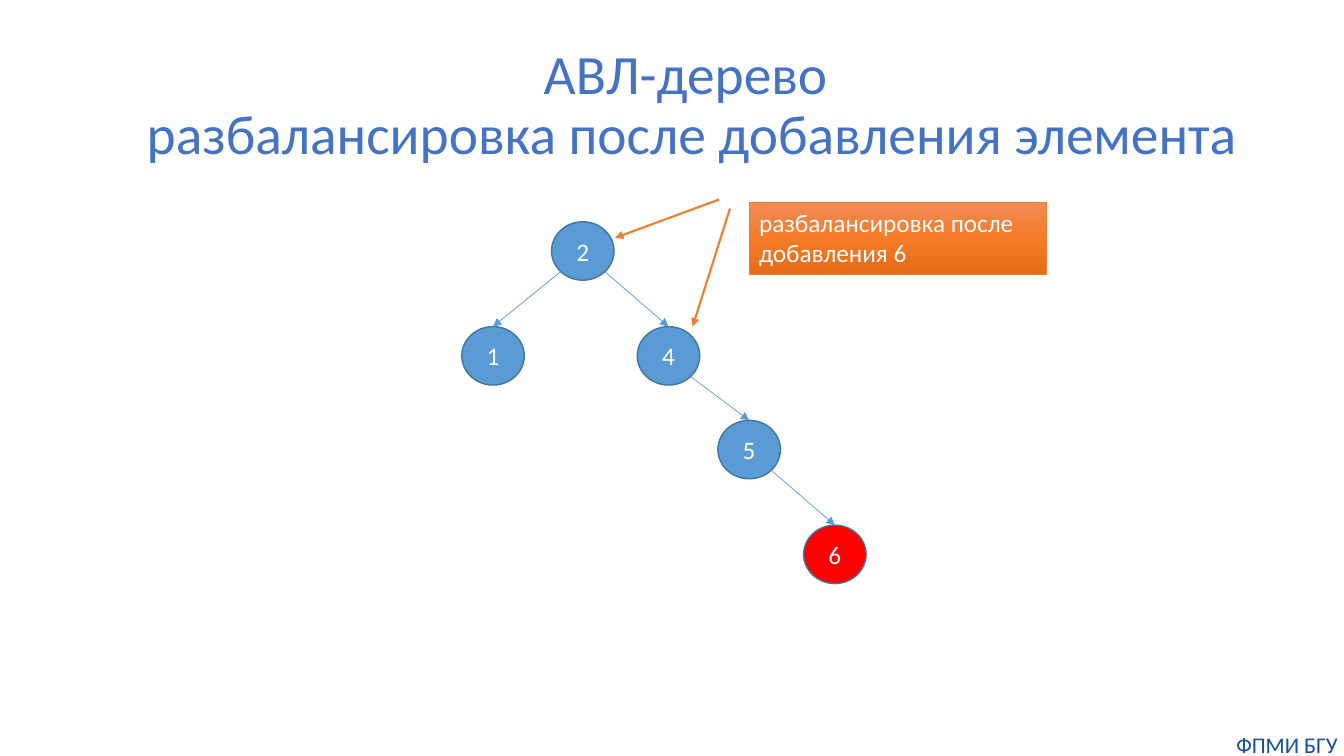
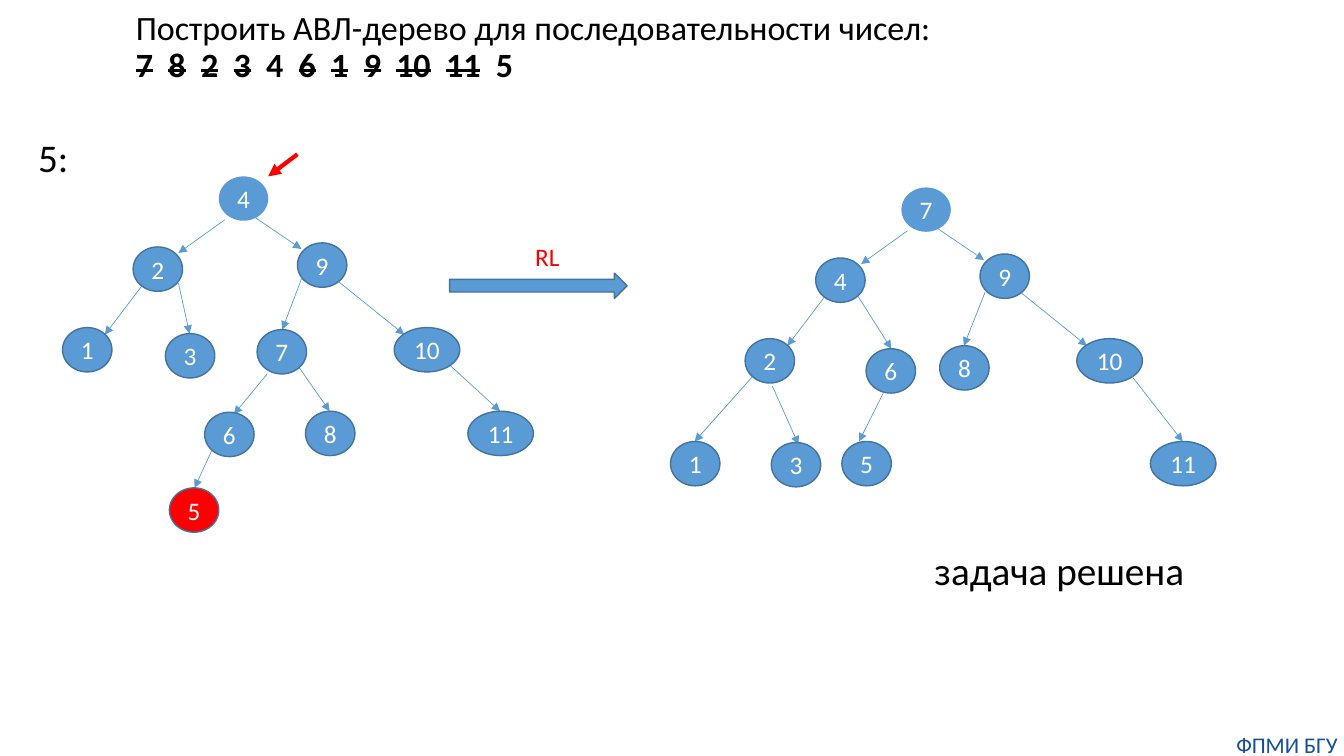
from copy import deepcopy
from math import sqrt

from lxml import etree
from pptx import Presentation
from pptx.dml.color import RGBColor
from pptx.enum.shapes import MSO_CONNECTOR, MSO_SHAPE
from pptx.enum.text import MSO_ANCHOR, PP_ALIGN
from pptx.oxml.ns import qn
from pptx.util import Inches, Pt

BLACK = RGBColor(0x00, 0x00, 0x00)
WHITE = RGBColor(0xFF, 0xFF, 0xFF)
RED = RGBColor(0xFF, 0x00, 0x00)
TITLE_BLUE = RGBColor(0x44, 0x72, 0xC4)
NODE_BLUE = RGBColor(0x5B, 0x9B, 0xD5)
NODE_EDGE = RGBColor(0x43, 0x73, 0x9E)
FOOTER_BLUE = RGBColor(0x14, 0x4E, 0x9D)
ORANGE = RGBColor(0xED, 0x7D, 0x31)
CALLOUT_STOPS = (
    (0, RGBColor(0xF1, 0x8C, 0x57)),
    (0.5, RGBColor(0xF6, 0x7B, 0x28)),
    (1, RGBColor(0xE5, 0x6C, 0x19)),
)

LEFT, CENTER = PP_ALIGN.LEFT, PP_ALIGN.CENTER
TOP, MIDDLE = MSO_ANCHOR.TOP, MSO_ANCHOR.MIDDLE
OVAL, RECT, ARROW = MSO_SHAPE.OVAL, MSO_SHAPE.RECTANGLE, MSO_SHAPE.RIGHT_ARROW
STRAIGHT = MSO_CONNECTOR.STRAIGHT

FONT = "Calibri"
BIG_NODE = (0.62, 0.58)
SMALL_NODE = (0.49, 0.44)
WIDE_NODE = (0.65, 0.44)


def write(tf, text, size=18, color=WHITE, align=LEFT, anchor=TOP,
          spacing=1, wrap=True, inset=None):
    tf.word_wrap = wrap
    tf.vertical_anchor = anchor
    if inset is not None:
        tf.margin_left = tf.margin_right = Inches(inset)
        tf.margin_top = tf.margin_bottom = Inches(inset)
    p = tf.paragraphs[0]
    p.alignment = align
    p.line_spacing = spacing
    runs = [(text, False, False)] if isinstance(text, str) else text
    for content, bold, strike in runs:
        for i, line in enumerate(content.split("\n")):
            if i:
                p.add_line_break()
            if not line:
                continue
            r = p.add_run()
            r.text = line
            r.font.name = FONT
            r.font.size = Pt(size)
            r.font.bold = bold
            r.font.color.rgb = color
            if strike:
                r._r.get_or_add_rPr().set("strike", "sngStrike")


class Deck:
    def __init__(self):
        self.prs = Presentation()
        self.prs.slide_width = Inches(13.33)
        self.prs.slide_height = Inches(7.5)
        self.s = None

    def slide(self):
        self.s = self.prs.slides.add_slide(self.prs.slide_layouts[6])
        self.text("ФПМИ БГУ", 12.2, 7.25, 1.13, 0.27, size=16,
                  color=FOOTER_BLUE, align=CENTER, inset=0)

    def text(self, text, x, y, w, h, **fmt):
        box = self.s.shapes.add_textbox(Inches(x), Inches(y), Inches(w), Inches(h))
        write(box.text_frame, text, **fmt)

    def shape(self, kind, x, y, w, h, fill=NODE_BLUE, line=NODE_EDGE, width=1):
        sp = self.s.shapes.add_shape(kind, Inches(x), Inches(y), Inches(w), Inches(h))
        sp.shadow.inherit = False
        sp.fill.solid()
        sp.fill.fore_color.rgb = fill
        if line is None:
            sp.line.fill.background()
        else:
            sp.line.color.rgb = line
            sp.line.width = Pt(width)
        return sp

    def node(self, label, x, y, size=SMALL_NODE, **style):
        sp = self.shape(OVAL, x, y, *size, **style)
        write(sp.text_frame, label, align=CENTER, anchor=MIDDLE, wrap=False, inset=0)
        return sp

    def callout(self, text, x, y, w, h):
        sp = self.shape(RECT, x, y, w, h, line=ORANGE, width=0.5)
        sp.fill.gradient()
        sp.fill.gradient_angle = 270
        stops = sp._element.spPr.find(qn("a:gradFill")).find(qn("a:gsLst"))
        stops.insert(1, deepcopy(stops[0]))
        for stop, (position, color) in zip(sp.fill.gradient_stops, CALLOUT_STOPS):
            stop.position = position
            stop.color.rgb = color
        write(sp.text_frame, text)

    def arrow(self, x1, y1, x2, y2, color=NODE_BLUE, width=0.5):
        c = self.s.shapes.add_connector(
            STRAIGHT, Inches(x1), Inches(y1), Inches(x2), Inches(y2))
        c.line.color.rgb = color
        c.line.width = Pt(width)
        ln = c.line._get_or_add_ln()
        etree.SubElement(ln, qn("a:tailEnd")).set("type", "triangle")
        etree.SubElement(c._element.spPr, qn("a:effectLst"))
        return c

    def branch(self, parent, child):
        mid_x = parent.left + parent.width / 2
        mid_y = parent.top + parent.height / 2
        side = 1 if child.left > parent.left else -1
        x = (mid_x + side * parent.width / 2 / sqrt(2)) / Inches(1)
        y = (mid_y + parent.height / 2 / sqrt(2)) / Inches(1)
        self.arrow(x, y, x, y).end_connect(child, 0)

    def tree(self, nodes, edges, dx=0, dy=0):
        for x1, y1, x2, y2 in edges:
            self.arrow(x1 + dx, y1 + dy, x2 + dx, y2 + dy)
        for label, x, y in nodes:
            size = WIDE_NODE if len(label) > 1 else SMALL_NODE
            self.node(label, x + dx, y + dy, size)


UPPER_SPOTS = ((1.32, 2.45), (2.95, 2.41), (0.62, 3.25), (3.91, 3.25))
UPPER_EDGES = (
    (2.23, 2.18, 1.77, 2.51), (2.43, 2.09, 2.99, 2.47),
    (1.42, 2.82, 1.04, 3.32), (3.34, 2.78, 4.01, 3.32),
)
LOWER_LEFT_NODES = (
    ("7", 2.55, 3.27), ("3", 1.64, 3.31), ("8", 3.03, 4.08),
    ("11", 4.64, 4.08), ("6", 2.03, 4.09),
)
LOWER_LEFT_EDGES = (
    (3, 2.74, 2.8, 3.27), (1.77, 2.81, 1.88, 3.31), (4.47, 3.63, 4.96, 4.08),
    (2.97, 3.65, 3.27, 4.08), (2.65, 3.71, 2.32, 4.11), (2.1, 4.47, 1.93, 4.84),
)
LOWER_RIGHT_NODES = (
    ("8", 9.32, 3.43), ("6", 8.59, 3.46), ("1", 6.65, 4.38),
    ("11", 11.41, 4.38), ("5", 8.35, 4.38), ("3", 7.65, 4.39),
)
LOWER_RIGHT_EDGES = (
    (9.77, 2.9, 9.56, 3.43), (11.24, 3.75, 11.73, 4.38), (7.46, 3.74, 6.89, 4.38),
    (7.66, 3.83, 7.92, 4.41), (8.76, 3.9, 8.52, 4.38), (8.51, 2.94, 8.84, 3.46),
)


def unbalanced_slide(deck):
    deck.slide()
    deck.text("АВЛ-дерево\n разбалансировка после добавления элемента",
              1.05, 0.33, 11.5, 1.45, size=39.6, color=TITLE_BLUE,
              align=CENTER, anchor=MIDDLE, spacing=0.9)
    spots = {"2": (5.47, 2.2), "4": (6.32, 3.24), "1": (4.58, 3.24),
             "5": (7.12, 4.17), "6": (7.97, 5.21)}
    nodes = {label: deck.node(label, x, y, BIG_NODE,
                              fill=RED if label == "6" else NODE_BLUE)
             for label, (x, y) in spots.items()}
    for parent, child in ("21", "24", "45", "56"):
        deck.branch(nodes[parent], nodes[child])
    deck.arrow(7.13, 1.98, 6.1, 2.36, color=ORANGE, width=1.5)
    deck.arrow(7.24, 2.07, 6.87, 3.24, color=ORANGE, width=1.5)
    deck.callout("разбалансировка после добавления 6", 7.43, 2.01, 2.95, 0.71)


def rotation_slide(deck):
    deck.slide()
    runs = [("Построить АВЛ-дерево для последовательности чисел:\n", False, False)]
    for number in "7 8 2 3 4 6 1 9 10 11".split():
        runs += [(number, True, number != "4"), ("  ", True, False)]
    runs.append(("5", True, False))
    deck.text(runs, 1.25, 0.05, 11.5, 0.86, size=24.3, color=BLACK,
              anchor=MIDDLE, spacing=0.9)
    deck.text("5:", 0.28, 1.36, 1, 0.5, size=28, color=BLACK, spacing=0.8)
    deck.text("задача решена", 9.17, 5.46, 3, 0.5, size=28, color=BLACK, spacing=0.8)

    deck.shape(ARROW, 4.46, 2.71, 1.76, 0.25)
    deck.text("RL", 5.21, 2.34, 0.45, 0.4, color=RED, wrap=False)

    upper_trees = (("4", ("2", "9", "1", "10"), 0, 0),
                   ("7", ("4", "9", "2", "10"), 6.77, 0.11))
    for root, labels, dx, dy in upper_trees:
        nodes = [(label, x, y) for label, (x, y) in zip(labels, UPPER_SPOTS)]
        deck.tree(nodes, UPPER_EDGES, dx, dy)
        deck.node(root, 2.17 + dx, 1.75 + dy, line=None)
    deck.tree(LOWER_LEFT_NODES, LOWER_LEFT_EDGES)
    deck.tree(LOWER_RIGHT_NODES, LOWER_RIGHT_EDGES)
    deck.node("5", 1.68, 4.84, fill=RED)
    deck.arrow(2.95, 1.53, 2.66, 1.75, color=RED, width=3)


def main():
    deck = Deck()
    unbalanced_slide(deck)
    rotation_slide(deck)
    deck.prs.save("out.pptx")


if __name__ == "__main__":
    main()
